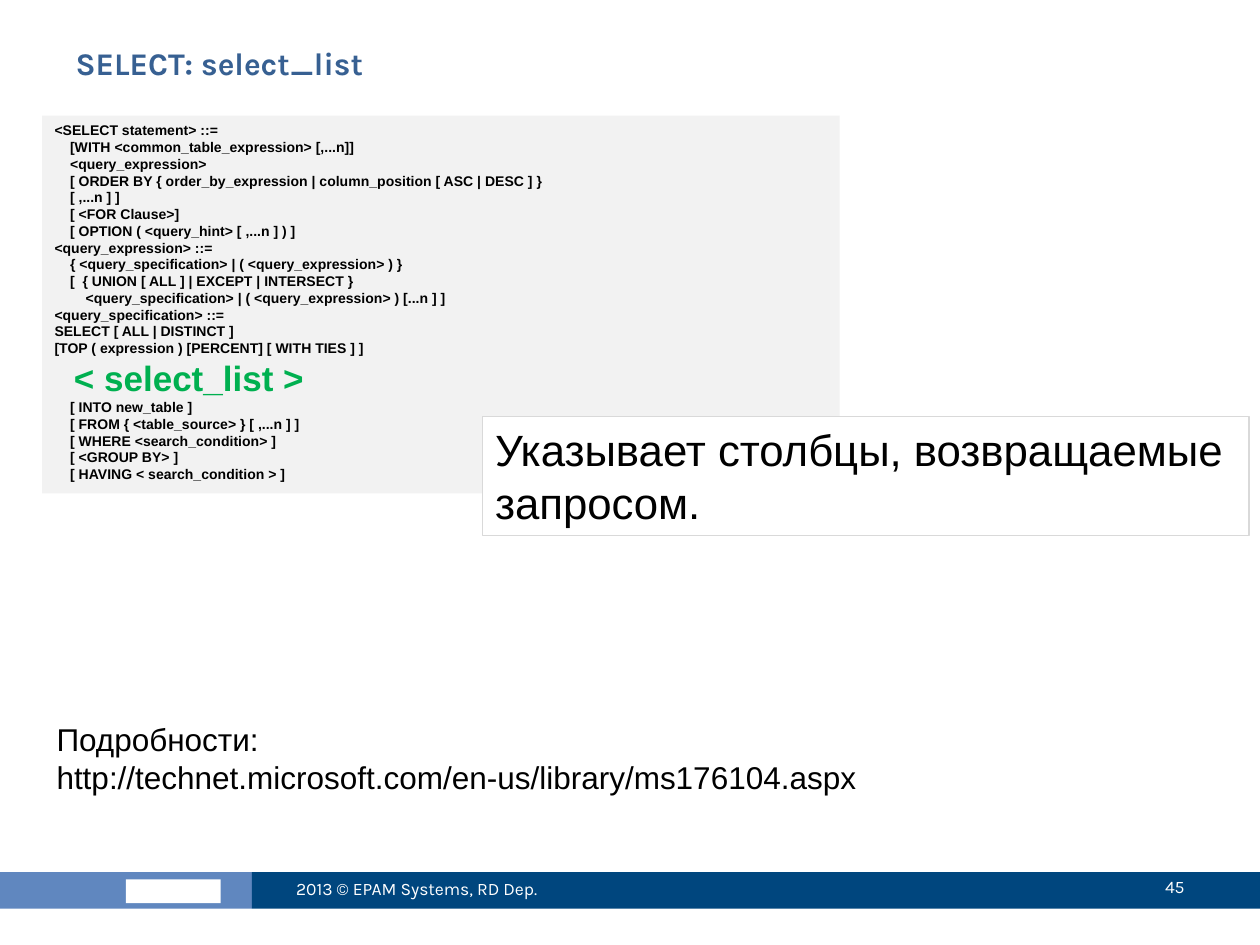
from pptx import Presentation
from pptx.dml.color import RGBColor
from pptx.enum.shapes import MSO_SHAPE as Shape
from pptx.enum.text import MSO_ANCHOR as Anchor, PP_ALIGN as Align
from pptx.util import Cm, Pt

WHITE = RGBColor(0xFF, 0xFF, 0xFF)
BLACK = RGBColor(0, 0, 0)
GRAY = RGBColor(0xF2, 0xF2, 0xF2)
EDGE = RGBColor(0xD9, 0xD9, 0xD9)
LIGHT = RGBColor(0x60, 0x87, 0xBF)
NAVY = RGBColor(0x00, 0x46, 0x7E)
BLUE = RGBColor(0x37, 0x60, 0x92)
GREEN = RGBColor(0x00, 0xB0, 0x50)

KEY = "  < select_list >"
CODE = f"""<SELECT statement> ::=
    [WITH <common_table_expression> [,...n]]
    <query_expression>
    [ ORDER BY {{ order_by_expression | column_position [ ASC | DESC ] }}
    [ ,...n ] ]
    [ <FOR Clause>]
    [ OPTION ( <query_hint> [ ,...n ] ) ]
<query_expression> ::=
    {{ <query_specification> | ( <query_expression> ) }}
    [  {{ UNION [ ALL ] | EXCEPT | INTERSECT }}
        <query_specification> | ( <query_expression> ) [...n ] ]
<query_specification> ::=
SELECT [ ALL | DISTINCT ]
[TOP ( expression ) [PERCENT] [ WITH TIES ] ]
{KEY}
    [ INTO new_table ]
    [ FROM {{ <table_source> }} [ ,...n ] ]
    [ WHERE <search_condition> ]
    [ <GROUP BY> ]
    [ HAVING < search_condition > ]"""
NOTE = "Указывает столбцы, возвращаемые запросом."
LINK = "Подробности:\nhttp://technet.microsoft.com/en-us/library/ms176104.aspx"

deck = Presentation()
deck.slide_width, deck.slide_height = Cm(25.4), Cm(19.05)
slide = deck.slides.add_slide(deck.slide_layouts[5])


def add_rect(place, fill):
    rect = slide.shapes.add_shape(Shape.RECTANGLE, *map(Cm, place))
    rect.shadow.inherit = False
    rect.fill.solid()
    rect.fill.fore_color.rgb = fill
    rect.line.fill.background()
    return rect


def put_text(shape, text, font, size, color, anchor=Anchor.TOP,
             align=Align.LEFT, bold=False):
    frame = shape.text_frame
    frame.text = text
    frame.word_wrap = True
    frame.vertical_anchor = anchor
    for para in frame.paragraphs:
        para.alignment = align
        for run in para.runs:
            run.font.name = font
            run.font.size = Pt(size)
            run.font.bold = bold
            run.font.color.rgb = color


for place, fill in [
    ((0, 17.58, 5.08, 0.74), LIGHT),
    ((2.54, 17.73, 1.91, 0.48), WHITE),
    ((5.08, 17.58, 20.32, 0.74), NAVY),
]:
    add_rect(place, fill)

title = slide.shapes.title
title.left, title.top, title.width, title.height = map(Cm, (1.27, 0.76, 22.86, 1.98))
put_text(title, "SELECT: select_list", "Karla", 18, BLUE, bold=True)

for place, text, align in [
    ((5.72, 17.4, 6.78, 1.02), "2013 © EPAM Systems, RD Dep.", Align.LEFT),
    ((21.39, 17.37, 2.74, 1.02), "45", Align.RIGHT),
]:
    box = slide.shapes.add_textbox(*map(Cm, place))
    put_text(box, text, "Karla", 10, WHITE, Anchor.MIDDLE, align)

code = add_rect((0.85, 2.33, 16.08, 7.62), GRAY)
put_text(code, CODE, "Arial", 8, BLACK, bold=True)
for para in code.text_frame.paragraphs:
    if para.text == KEY:
        para.runs[0].font.size = Pt(20)
        para.runs[0].font.color.rgb = GREEN

note = add_rect((9.73, 8.4, 15.45, 2.4), WHITE)
note.line.color.rgb = EDGE
note.line.width = Pt(0.75)
put_text(note, NOTE, "Arial", 25, BLACK)

link = slide.shapes.add_textbox(Cm(0.89), Cm(14.4), Cm(23.04), Cm(1.8))
put_text(link, LINK, "Arial", 18, BLACK)

deck.save("out.pptx")
